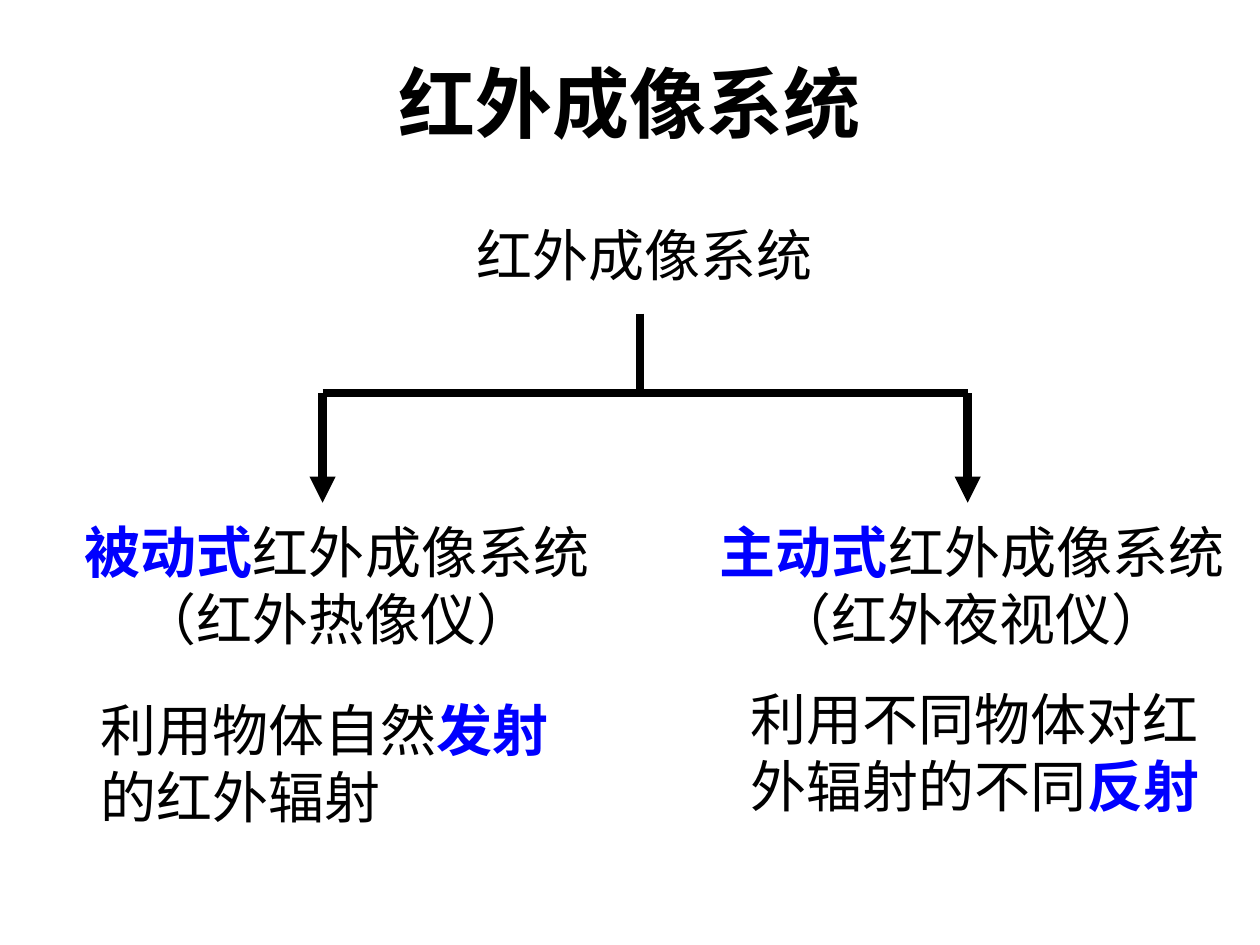
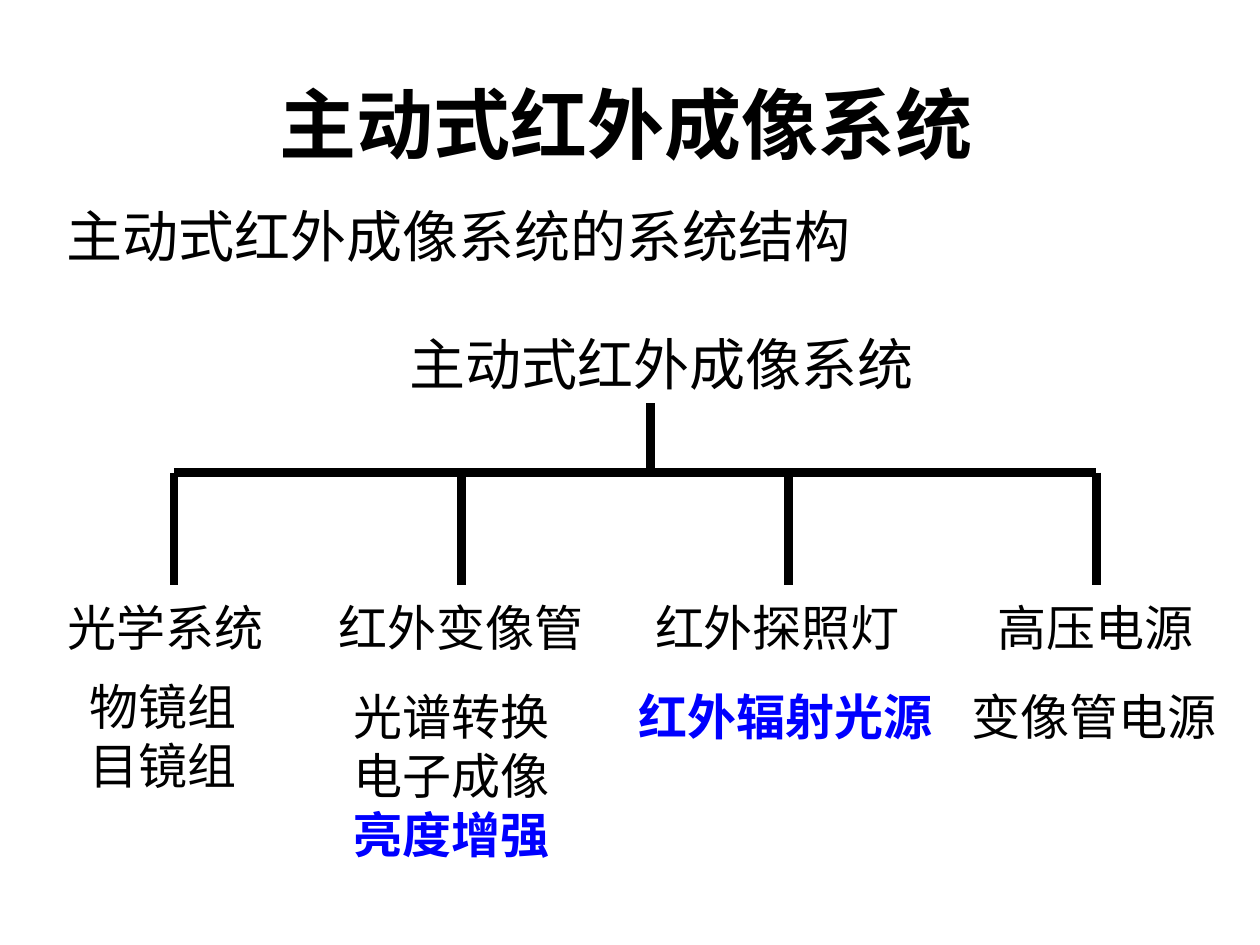
from lxml import etree
from pptx import Presentation
from pptx.dml.color import RGBColor
from pptx.enum.shapes import MSO_CONNECTOR, MSO_SHAPE
from pptx.enum.text import MSO_ANCHOR, PP_ALIGN
from pptx.oxml.ns import qn
from pptx.util import Inches, Pt

STRAIGHT = MSO_CONNECTOR.STRAIGHT
RECTANGLE = MSO_SHAPE.RECTANGLE
CENTER, LEFT, JUSTIFY = PP_ALIGN.CENTER, PP_ALIGN.LEFT, PP_ALIGN.JUSTIFY
TOP, MIDDLE = MSO_ANCHOR.TOP, MSO_ANCHOR.MIDDLE

WIDTH, HEIGHT = Inches(10), Inches(7.5)
COLUMN, ROW = WIDTH / 100, HEIGHT / 75
BLACK, WHITE, BLUE = "000000", "FFFFFF", "0000FF"
TITLE_ONLY = 5
LINE_WIDTH = 5

BRANCHES = [
    ("*被动式*红外成像系统（红外热像仪）", 5.5,
     "利用物体自然*发射*的红外辐射", (7, 54.7, 38.3, 11.8)),
    ("*主动式*红外成像系统（红外夜视仪）", 55.9,
     "利用不同物体对红外辐射的不同*反射*", (58.6, 53.8, 40.6, 11.8)),
]
COMPONENTS = [
    ("光学系统", 2.7, 20.8, "物镜组 目镜组", (4.3, 53.2, 17.3, 10.5)),
    ("红外变像管", 25.6, 22, "光谱转换电子成像*亮度增强*", (25.6, 54, 20.5, 15.2)),
    ("红外探照灯", 50, 23.4, "*红外辐射光源*", (48.4, 54, 27.9, 5.7)),
    ("高压电源", 75.8, 22.3, "变像管电源", (74.4, 54, 24.8, 5.7)),
]


def rgb(color):
    """Return the colour for a hex string."""
    return RGBColor.from_string(color)


def grid(place):
    """Turn left, top, width and height in grid units into lengths."""
    return [round(value * unit) for value, unit in zip(place, (COLUMN, ROW) * 2)]


def apply_format(target, values):
    """Set each attribute of the target from a dict."""
    for name, value in values.items():
        setattr(target, name, value)


def write_text(frame, text, size, font, align, bold=False):
    """Write one paragraph, with the parts between asterisks bold and blue."""
    paragraph = frame.paragraphs[0]
    paragraph.alignment = align
    for index, part in enumerate(text.split("*")):
        if part:
            emphasised = index % 2 == 1
            run = paragraph.add_run()
            run.text = part
            apply_format(run.font, {"size": Pt(size), "name": font,
                                    "bold": bold or emphasised})
            run.font.color.rgb = rgb(BLUE if emphasised else BLACK)


def add_titled_slide(presentation, title, place, font):
    """Add a white slide with a bold centred title."""
    slide = presentation.slides.add_slide(presentation.slide_layouts[TITLE_ONLY])
    slide.background.fill.solid()
    slide.background.fill.fore_color.rgb = rgb(WHITE)
    shape = slide.shapes.title
    apply_format(shape, dict(zip(("left", "top", "width", "height"), grid(place))))
    shape.text_frame.vertical_anchor = MIDDLE
    write_text(shape.text_frame, title, 44, font, CENTER, bold=True)
    return slide


def add_label(slide, text, place, size, font, align=CENTER):
    """Add a white rectangle that holds text."""
    shape = slide.shapes.add_shape(RECTANGLE, *grid(place))
    shape.shadow.inherit = False
    shape.fill.solid()
    shape.fill.fore_color.rgb = rgb(WHITE)
    shape.line.fill.background()
    apply_format(shape.text_frame, {"word_wrap": True, "vertical_anchor": TOP})
    write_text(shape.text_frame, text, size, font, align)


def add_note(slide, text, place, size, font):
    """Add a wrapped text box without a fill."""
    frame = slide.shapes.add_textbox(*grid(place)).text_frame
    frame.word_wrap = True
    write_text(frame, text, size, font, LEFT)


def add_line(slide, start, end, arrow=False):
    """Add a thick black line between two grid points."""
    connector = slide.shapes.add_connector(STRAIGHT, *grid(start + end))
    connector.line.width = Pt(LINE_WIDTH)
    connector.line.color.rgb = rgb(BLACK)
    if arrow:
        line = connector.line._get_or_add_ln()
        etree.SubElement(line, qn("a:tailEnd"), type="triangle")
    etree.SubElement(connector._element.spPr, qn("a:effectLst"))


def add_tree(slide, trunk, rows, drops, arrow=False):
    """Draw a trunk, a crossbar and one drop for each branch."""
    top, bar, bottom = rows
    add_line(slide, (trunk, top), (trunk, bar))
    add_line(slide, (drops[0], bar), (drops[-1], bar))
    for drop in drops:
        add_line(slide, (drop, bar), (drop, bottom), arrow)


def build_overview(presentation):
    """Build the slide with the two kinds of imaging system."""
    font = "Times New Roman"
    slide = add_titled_slide(presentation, "红外成像系统", (5, 3, 90, 10.1), "Arial")
    add_label(slide, "红外成像系统", (28.7, 17, 44.9, 6.4), 32, font)
    add_tree(slide, 50.8, (24.9, 31.2, 39.9), (25.6, 76.8), arrow=True)
    for name, left, principle, place in BRANCHES:
        add_label(slide, name, (left, 40.6, 42.5, 11.8), 32, font)
        add_note(slide, principle, place, 32, font)


def build_structure(presentation):
    """Build the slide with the parts of the active system."""
    font = "Arial"
    slide = add_titled_slide(presentation, "主动式红外成像系统",
                             (4.7, 4.7, 90, 10.1), "Calibri")
    add_label(slide, "主动式红外成像系统的系统结构", (4.3, 15.5, 89.2, 6.4),
              32, font, JUSTIFY)
    add_label(slide, "主动式红外成像系统", (15, 25.7, 75, 6.4), 32, font)
    for name, left, width, detail, place in COMPONENTS:
        add_label(slide, name, (left, 46.9, width, 5.7), 28, font)
        add_label(slide, detail, place, 28, font)
    add_tree(slide, 51.6, (32, 37.5, 46.4), (13.8, 36.6, 62.6, 87))


def main():
    """Build both slides and save them."""
    presentation = Presentation()
    apply_format(presentation, {"slide_width": WIDTH, "slide_height": HEIGHT})
    build_overview(presentation)
    build_structure(presentation)
    presentation.save("out.pptx")


if __name__ == "__main__":
    main()
